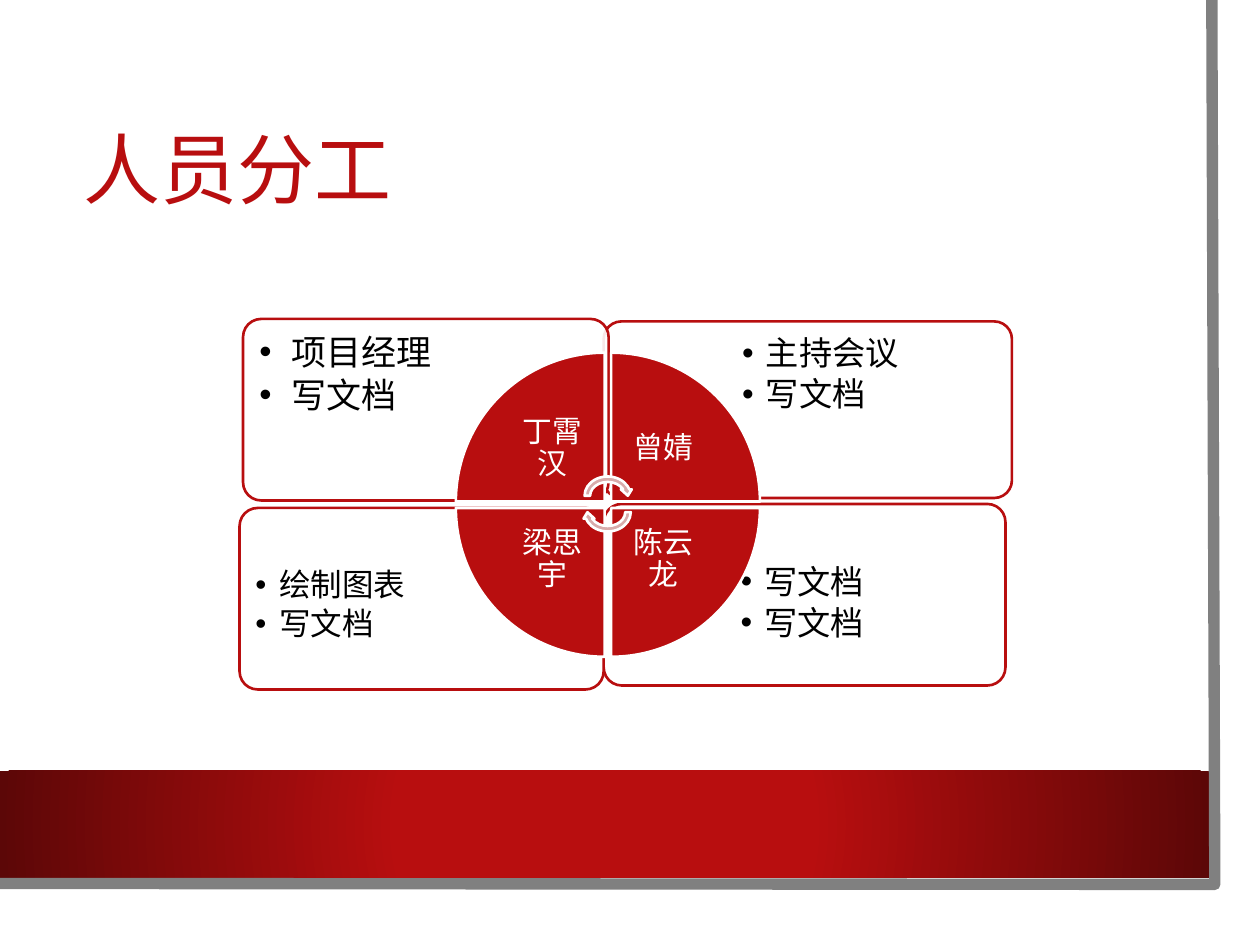
from lxml import etree
from pptx import Presentation
from pptx import util as u
from pptx.dml.color import RGBColor
from pptx.enum import shapes, text
from pptx.oxml import ns

COLORS = {
    "red": "B80E0F",
    "dark": "5C0707",
    "white": "FFFFFF",
    "black": "000000",
    "gray": "808080",
    "pink": "D8ABAB",
}
FONT = "Arial Narrow"
PRESET = shapes.MSO_SHAPE


def color(name):
    return RGBColor.from_string(COLORS[name])


def add_child(parent, tag, **attributes):
    return etree.SubElement(parent, ns.qn(tag), attributes)


class SlideBuilder:
    def __init__(self, slide):
        self.slide = slide

    def shape(self, preset, box, fill, line=None, width=1.5, rotation=0):
        shape = self.slide.shapes.add_shape(preset, *map(u.Cm, box))
        shape.shadow.inherit = False
        shape.rotation = rotation
        shape.fill.solid()
        shape.fill.fore_color.rgb = color(fill)
        self.outline(shape, line, width)
        return shape

    def outline(self, shape, line, width):
        if line:
            shape.line.color.rgb = color(line)
            shape.line.width = u.Pt(width)
        else:
            shape.line.fill.background()

    def panel(self, box):
        shape = self.shape(PRESET.ROUNDED_RECTANGLE, box, "white", "red")
        shape.adjustments[0] = 0.1
        rgb = shape.fill._xPr.find(ns.qn("a:solidFill"))[0]
        add_child(rgb, "a:alpha", val="90000")

    def band(self, box):
        shape = self.shape(PRESET.RECTANGLE, box, "red")
        properties = shape._element.spPr
        solid = properties.find(ns.qn("a:solidFill"))
        gradient = etree.Element(ns.qn("a:gradFill"), rotWithShape="1")
        stops = add_child(gradient, "a:gsLst")
        for position, name in ((34, "red"), (100, "dark")):
            stop = add_child(stops, "a:gs", pos=str(position * 1000))
            add_child(stop, "a:srgbClr", val=COLORS[name])
        circle = add_child(gradient, "a:path", path="circle")
        add_child(circle, "a:fillToRect", l="50000", t="50000", r="50000", b="50000")
        properties.replace(solid, gradient)

    def polyline(self, points, line, width):
        points = [tuple(map(u.Cm, point)) for point in points]
        builder = self.slide.shapes.build_freeform(*points[0])
        builder.add_line_segments(points[1:], close=False)
        shape = builder.convert_to_shape()
        shape.shadow.inherit = False
        shape.fill.background()
        self.outline(shape, line, width)

    def run(self, paragraph, words, size, name):
        run = paragraph.add_run()
        run.text = words
        run.font.size = u.Pt(size)
        run.font.name = FONT
        run.font.color.rgb = color(name)

    def text_box(self, box, inset, anchor):
        frame = self.slide.shapes.add_textbox(*map(u.Cm, box)).text_frame
        frame.word_wrap = True
        frame.vertical_anchor = anchor
        frame.margin_left = frame.margin_right = u.Cm(inset)
        frame.margin_top = frame.margin_bottom = u.Cm(inset)
        return frame

    def bullets(self, box, items, size, indent):
        frame = self.text_box(box, 0.25, text.MSO_ANCHOR.TOP)
        for index, item in enumerate(items):
            paragraph = frame.add_paragraph() if index else frame.paragraphs[0]
            paragraph.level = 1
            paragraph.line_spacing = 0.9
            paragraph.space_after = u.Pt(size * 0.15)
            properties = paragraph._p.get_or_add_pPr()
            properties.set("marL", str(u.Cm(indent)))
            properties.set("indent", str(-u.Cm(indent)))
            add_child(properties, "a:buFont", typeface="Arial")
            add_child(properties, "a:buChar", char="•")
            self.run(paragraph, item, size, "black")

    def label(self, box, words):
        frame = self.text_box(box, 0.33, text.MSO_ANCHOR.MIDDLE)
        paragraph = frame.paragraphs[0]
        paragraph.alignment = text.PP_ALIGN.CENTER
        paragraph.line_spacing = 0.9
        self.run(paragraph, words, 17, "white")

    def title(self, box, words):
        title = self.slide.shapes.title
        title.left, title.top, title.width, title.height = map(u.Cm, box)
        frame = title.text_frame
        frame.word_wrap = True
        frame.vertical_anchor = text.MSO_ANCHOR.MIDDLE
        paragraph = frame.paragraphs[0]
        paragraph.alignment = text.PP_ALIGN.LEFT
        paragraph.line_spacing = 0.9
        self.run(paragraph, words, 44, "red")
        title._element.getparent().append(title._element)


def main():
    presentation = Presentation()
    presentation.slide_width = u.Cm(25.4)
    presentation.slide_height = u.Cm(19.05)
    slide = presentation.slides.add_slide(presentation.slide_layouts[5])
    builder = SlideBuilder(slide)

    builder.shape(PRESET.RECTANGLE, (0, 0, 24.97, 18.47), "white")
    builder.band((0, 15.54, 24.38, 2.16))
    builder.polyline([(24.43, 0), (24.49, 17.83), (-0.05, 17.81)], "gray", 6.5)
    builder.title((1.42, 1.9, 21.67, 3.2), "人员分工")

    duties = [
        ((12.17, 10.16, 8.1, 3.66), (14.68, 11.15, 5.51, 2.57),
         ("写文档", "写文档"), 19, 0.48),
        ((4.83, 10.24, 7.34, 3.66), (4.9, 11.23, 4.98, 2.57),
         ("绘制图表", "写文档"), 18, 0.48),
        ((12.17, 6.48, 8.23, 3.56), (14.71, 6.55, 5.59, 2.51),
         ("主持会议", "写文档"), 19, 0.48),
        ((4.9, 6.43, 7.37, 3.66), (4.98, 6.5, 4.98, 2.57),
         ("项目经理", "写文档"), 20, 0.64),
    ]
    for panel_box, text_box, items, size, indent in duties:
        builder.panel(panel_box)
        builder.bullets(text_box, items, size, indent)

    left, top, wedge, step, label = 9.19, 7.11, 3, 3.13, 2.11
    members = [("丁霄汉", 0, 0), ("曾婧", 1, 0), ("陈云龙", 1, 1), ("梁思宇", 0, 1)]
    for index, (name, column, row) in enumerate(members):
        x, y = left + column * step, top + row * step
        builder.shape(PRESET.PIE_WEDGE, (x, y, wedge, wedge), "red", "white",
                      rotation=90 * index)
        label_x = x + (1 - column) * (wedge - label)
        label_y = y + (1 - row) * (wedge - label)
        builder.label((label_x, label_y, label, label), name)

    for y, rotation in ((9.55, 0), (9.88, 180)):
        builder.shape(PRESET.CIRCULAR_ARROW, (11.73, y, 1.04, 0.89), "pink", "white",
                      rotation=rotation)

    presentation.save("out.pptx")


if __name__ == "__main__":
    main()
